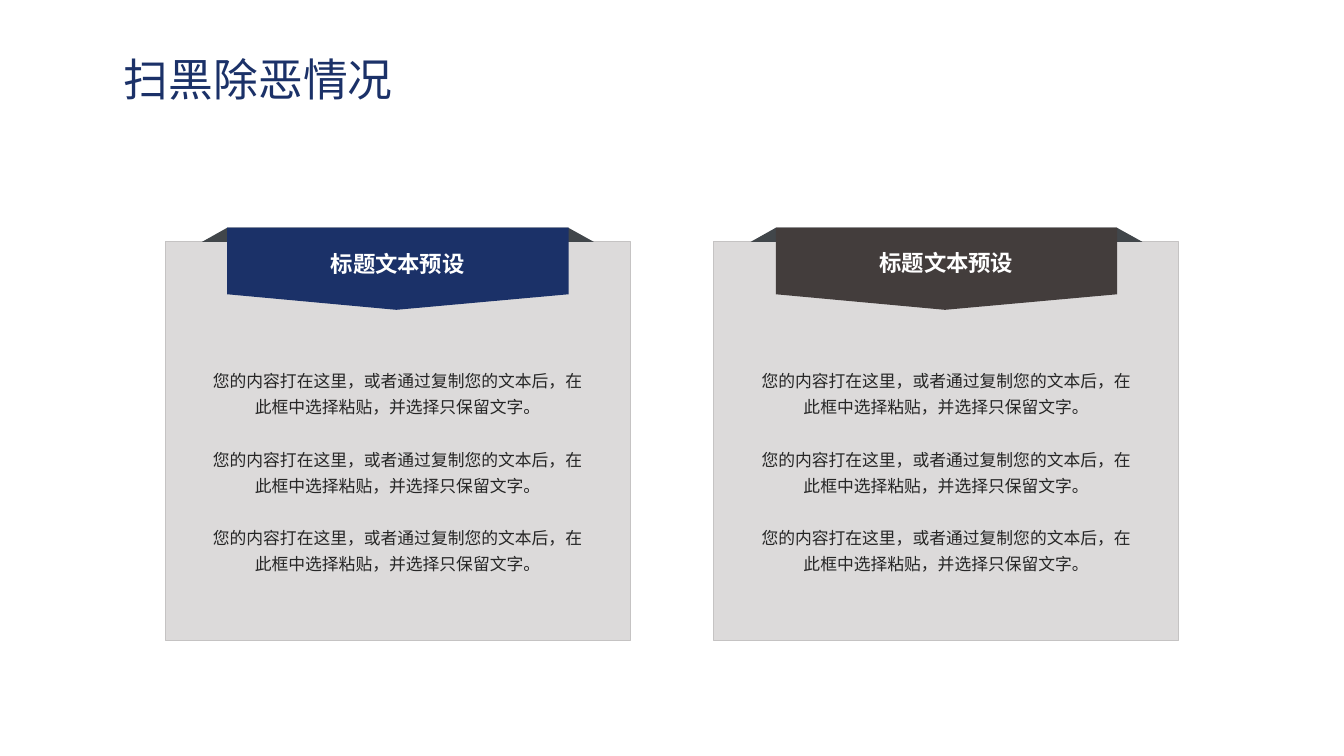
"""Build the slide with two ribbon cards of sample text."""
from pptx import Presentation
from pptx import util as u
from pptx.dml.color import RGBColor
from pptx.enum import shapes, text
from pptx.oxml.ns import qn
from lxml import etree

Pt = u.Pt
COLORS = {"navy": "1B3168", "brown": "433D3C", "fold": "41464A", "card": "DCDADA",
          "edge": "C5C3C3", "body": "262626", "white": "FFFFFF"}
CJK_FONT = "Noto Sans CJK SC"
TITLE = "扫黑除恶情况"
HEADING = "标题文本预设"
BODY = "您的内容打在这里，或者通过复制您的文本后，在此框中选择粘贴，并选择只保留文字。"
CARD_STEP = 391.9
CARDS = [("navy", 113.8, 175), ("brown", 164.9, 174.2)]


def rgb(name):
    """Return the named colour."""
    return RGBColor.from_string(COLORS[name])


def place(sp, left, top, width, height):
    """Move and size a shape, in points."""
    sp.left, sp.top, sp.width, sp.height = Pt(left), Pt(top), Pt(width), Pt(height)


def add_run(p, words, size, color, font="Calibri", bold=False):
    """Add a formatted run to a paragraph."""
    r = p.add_run()
    r.text = words
    r.font.size, r.font.name, r.font.bold = Pt(size), font, bold
    r.font.color.rgb = rgb(color)
    etree.SubElement(r.font._element, qn("a:ea"), typeface=CJK_FONT)


def add_panel(group, left):
    """Add the grey card behind the text."""
    sp = group.shapes.add_shape(shapes.MSO_SHAPE.RECTANGLE,
                                Pt(left), Pt(172.8), Pt(332), Pt(284.5))
    sp.shadow.inherit = False
    sp.fill.solid()
    sp.fill.fore_color.rgb = rgb("card")
    sp.line.color.rgb = rgb("edge")
    sp.line.width = Pt(0.75)


def add_outline(group, left, points, color):
    """Add a filled polygon whose points are relative to the card's left edge."""
    corners = [(Pt(left + x), Pt(y)) for x, y in points]
    builder = group.shapes.build_freeform(*corners[0], scale=1.0)
    builder.add_line_segments(corners[1:], close=True)
    sp = builder.convert_to_shape()
    sp.shadow.inherit = False
    sp.fill.solid()
    sp.fill.fore_color.rgb = rgb(color)
    sp.line.fill.background()


def add_text(group, box, paragraphs, size, color, bold=False, wrap=True,
             line_spacing=None, gap=0):
    """Add a text box of centred paragraphs with a gap between them."""
    tf = group.shapes.add_textbox(*map(Pt, box)).text_frame
    tf.word_wrap = wrap
    tf.auto_size = text.MSO_AUTO_SIZE.SHAPE_TO_FIT_TEXT
    for i, words in enumerate(paragraphs):
        p = tf.add_paragraph() if i else tf.paragraphs[0]
        p.alignment = text.PP_ALIGN.CENTER
        p.line_spacing = line_spacing
        p.space_before = Pt(gap if i else 0)
        add_run(p, words, size, color, bold=bold)


def add_card(s, left, color, heading_width, heading_top):
    """Add one card with its ribbon, heading and body text."""
    group = s.shapes.add_group_shape()
    add_panel(group, left)
    add_outline(group, left, [(44.4, 162.6), (287.7, 162.6), (306.1, 172.8),
                              (26.2, 172.8)], "fold")
    add_outline(group, left, [(44.2, 162.6), (288, 162.6), (288, 210.2),
                              (165, 221.3), (44.2, 210.2)], color)
    add_text(group, (left + 166 - heading_width / 2, heading_top, heading_width, 26.6),
             [HEADING], 16, "white", bold=True, wrap=False)
    add_text(group, (left + 26.6, 257, 278.7, 157), [BODY] * 3, 12, "body",
             line_spacing=1.3, gap=18.7)


def add_title(s):
    """Place and fill the title placeholder."""
    sp = s.shapes.title
    place(sp, 83.5, 39.6, 311.8, 33.8)
    tf = sp.text_frame
    tf.word_wrap = True
    tf.auto_size = text.MSO_AUTO_SIZE.NONE
    tf.vertical_anchor = text.MSO_ANCHOR.MIDDLE
    tf.margin_left = tf.margin_right = Pt(5)
    tf.margin_top = tf.margin_bottom = Pt(2.9)
    p = tf.paragraphs[0]
    p.alignment = text.PP_ALIGN.LEFT
    add_run(p, TITLE, 32, "navy", font=CJK_FONT)


def main():
    """Build and save the slide."""
    prs = Presentation()
    prs.slide_width, prs.slide_height = Pt(960), Pt(540)
    s = prs.slides.add_slide(prs.slide_layouts[5])
    add_title(s)
    for i, (color, heading_width, heading_top) in enumerate(CARDS):
        add_card(s, 118.1 + i * CARD_STEP, color, heading_width, heading_top)
    prs.save("out.pptx")


if __name__ == "__main__":
    main()
